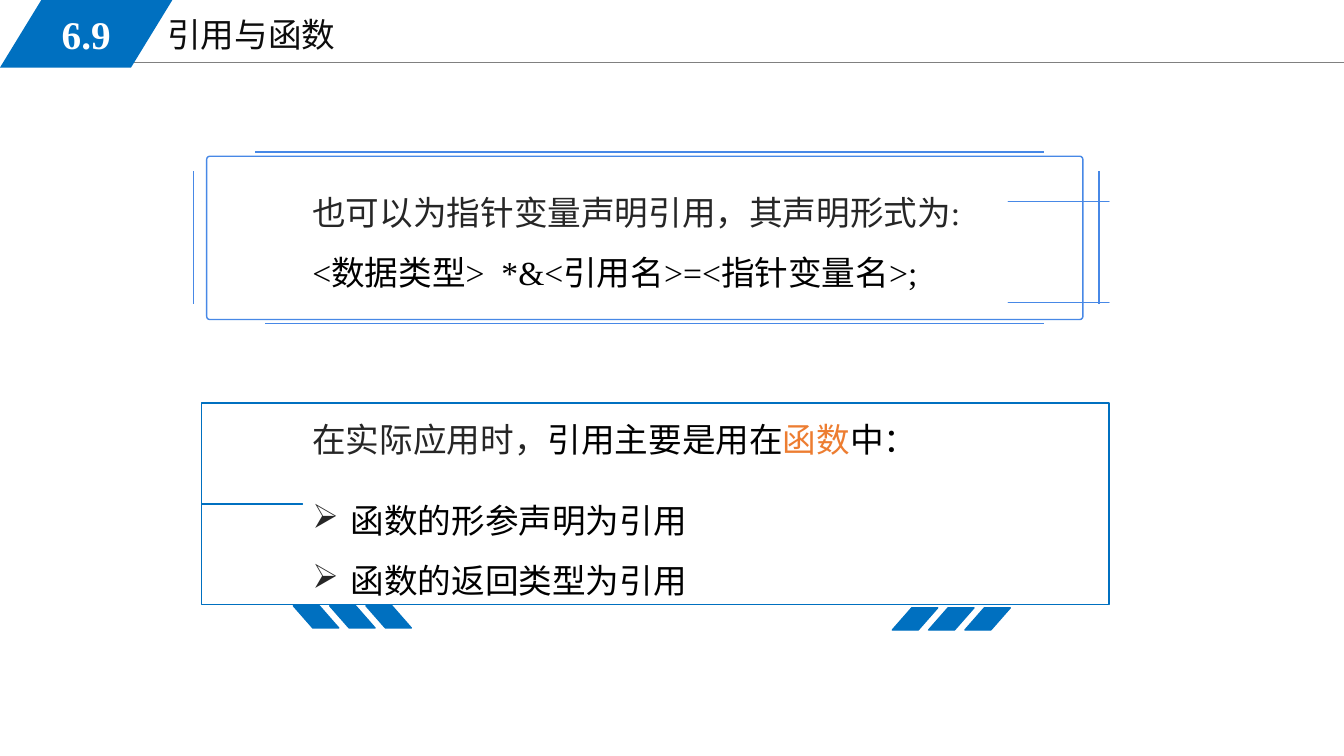
from lxml.etree import SubElement
from pptx import Presentation
from pptx.dml.color import RGBColor
from pptx.enum.shapes import MSO_CONNECTOR, MSO_SHAPE
from pptx.enum.text import MSO_ANCHOR, MSO_AUTO_SIZE, PP_ALIGN
from pptx.oxml.ns import qn
from pptx.util import Inches, Pt

WIDTH, HEIGHT = 13.33, 7.5
FONT = "Times New Roman"
COLORS = {
    "blue": "0070C0", "frame": "4788E6", "rule": "808080", "white": "FFFFFF",
    "title": "0D0D0D", "body": "262626", "black": "000000", "orange": "ED7D31",
}
# Corner bracket as shares of its box, drawn for the top left corner
BRACKET = [(0.1, 0), (0.57, 0), (0.51, 0.07), (0.96, 0.07), (1, 0.13), (0.22, 0.13),
           (0.1, 0.2), (0.1, 0.93), (0.06, 1), (0.06, 0.53), (0, 0.6), (0, 0.13)]
# Panel outline in inches from the panel's top left corner
PANEL = [(0.62, 0), (7.22, 0), (7.3, 0.08), (8.08, 0.08), (8.17, 0), (8.5, 0),
         (8.5, 1.93), (7.87, 2.32), (7.7, 2.32), (7.5, 2.46), (6.34, 2.46),
         (6.15, 2.32), (1.9, 2.32), (1.71, 2.46), (0.54, 2.46), (0.35, 2.32),
         (0, 2.32), (0, 1.33), (0.14, 1.25), (0.14, 0.91), (0, 0.83), (0, 0.39)]


def rgb(name):
    return RGBColor.from_string(COLORS[name])


def inches(*lengths):
    return [Inches(length) for length in lengths]


def paint(shape, fill=None, line=None):
    shape.shadow.inherit = False
    if fill:
        shape.fill.solid()
        shape.fill.fore_color.rgb = rgb(fill)
    else:
        shape.fill.background()
    if line:
        shape.line.color.rgb = rgb(line)
        shape.line.width = Pt(1)
    else:
        shape.line.fill.background()


def add_preset(slide, kind, box, adjustment, **colors):
    shape = slide.shapes.add_shape(kind, *inches(*box))
    shape.adjustments[0] = adjustment
    paint(shape, **colors)
    return shape


def add_outline(slide, points, **colors):
    builder = slide.shapes.build_freeform(*points[0], scale=Inches(1))
    builder.add_line_segments(points[1:], close=True)
    paint(builder.convert_to_shape(), **colors)


def add_line(slide, start, end, color, width=1):
    line = slide.shapes.add_connector(MSO_CONNECTOR.STRAIGHT, *inches(*start, *end))
    line.line.color.rgb = rgb(color)
    line.line.width = Pt(width)
    SubElement(line._element.spPr, qn("a:effectLst"))


def add_run(paragraph, text, color, size=24, bold=False):
    run = paragraph.add_run()
    run.text = text
    formats = {"name": FONT, "size": Pt(size), "bold": bold}
    for key, value in formats.items():
        setattr(run.font, key, value)
    run.font.color.rgb = rgb(color)


def format_frame(frame, anchor=MSO_ANCHOR.TOP):
    formats = {"word_wrap": True, "auto_size": MSO_AUTO_SIZE.NONE, "vertical_anchor": anchor}
    for key, value in formats.items():
        setattr(frame, key, value)


def add_bullet(paragraph):
    properties = paragraph._p.get_or_add_pPr()
    properties.set("marL", str(Inches(0.38)))
    properties.set("indent", str(-Inches(0.38)))
    color = SubElement(properties, qn("a:buClr"))
    SubElement(color, qn("a:srgbClr"), val=COLORS["body"])
    SubElement(properties, qn("a:buChar"), char="➢")


def add_text(slide, box, paragraphs):
    """Each paragraph is (line spacing, bulleted, [(text, color), ...])."""
    frame = slide.shapes.add_textbox(*inches(*box)).text_frame
    format_frame(frame)
    for index, (spacing, bulleted, runs) in enumerate(paragraphs):
        paragraph = frame.add_paragraph() if index else frame.paragraphs[0]
        if bulleted:
            add_bullet(paragraph)
        paragraph.line_spacing = spacing
        for text, color in runs:
            add_run(paragraph, text, color)


def add_header(slide, number, title_text, height):
    add_line(slide, (1.13, 0.62), (WIDTH, 0.62), "rule", 0.75)
    badge = add_preset(slide, MSO_SHAPE.PARALLELOGRAM, (0, 0, 1.71, height), 0.612, fill="blue")
    format_frame(badge.text_frame, MSO_ANCHOR.MIDDLE)
    paragraph = badge.text_frame.paragraphs[0]
    paragraph.alignment = PP_ALIGN.CENTER
    add_run(paragraph, number, "white", 28, True)

    title = slide.shapes.title
    title.left, title.top, title.width, title.height = inches(1.56, 0.09, 5.67, 0.5)
    format_frame(title.text_frame)
    paragraph = title.text_frame.paragraphs[0]
    paragraph.alignment = PP_ALIGN.LEFT
    add_run(paragraph, title_text, "title")


def add_declaration(slide, left, top, width, height):
    right, bottom = left + width, top + height
    add_text(slide, (left + 1.14, top + 0.15, 8.14, 1.77), [
        (1.5, False, [("也可以为指针变量声明引用，其声明形式为:", "body")]),
        (1.5, False, [("<数据类型>  *&<引用名>=<指针变量名>;", "black")]),
    ])
    add_preset(slide, MSO_SHAPE.ROUNDED_RECTANGLE,
               (left + 0.19, top + 0.05, 8.69, 1.62), 0.019, line="frame")
    corners = [(left, 1, top, 1, 0.51), (right, -1, top, 1, 0.51),
               (left, 1, bottom, -1, 0.58), (right, -1, bottom, -1, 0.53)]
    for x, x_sign, y, y_sign, length in corners:
        points = [(x + x_sign * length * across, y + y_sign * 0.15 * down)
                  for across, down in BRACKET]
        add_outline(slide, points, fill="frame", line="frame")
    for y, start in ((top + 0.01, left + 0.67), (bottom, left + 0.77)):
        add_line(slide, (start, y), (right - 0.62, y), "frame")
    for x in (left + 0.06, right - 0.07):
        add_line(slide, (x, top + 0.2), (x, bottom - 0.19), "frame")


def add_stripes(slide, left, top, flipped):
    for index in range(3):
        stripe = add_preset(slide, MSO_SHAPE.PARALLELOGRAM,
                            (left + 0.36 * index, top, 0.45, 0.22), 0.878,
                            fill="blue", line="blue")
        if flipped:
            stripe._element.spPr.find(qn("a:xfrm")).set("flipH", "1")


def add_usage(slide, left, top):
    add_outline(slide, [(left + x, top + y) for x, y in PANEL], line="blue")
    add_stripes(slide, left + 0.43, top + 2.13, True)
    add_stripes(slide, left + 6.37, top + 2.15, False)
    add_text(slide, (left + 0.52, top - 0.17, 8.21, 2.32), [
        (2, False, [("在实际应用时，", "body"), ("引用主要是用在", "black"),
                    ("函数", "orange"), ("中：", "black")]),
        (2, True, [("函数的形参声明为引用", "black")]),
        (1.5, True, [("函数的返回类型为引用", "black")]),
    ])


def main():
    presentation = Presentation()
    presentation.slide_width, presentation.slide_height = inches(WIDTH, HEIGHT)
    slide = presentation.slides.add_slide(presentation.slide_layouts[5])
    add_header(slide, "6.9", "引用与函数", 0.67)
    add_declaration(slide, 1.86, 1.5, 9.11, 1.71)
    add_usage(slide, 2.48, 3.88)
    presentation.save("out.pptx")


if __name__ == "__main__":
    main()
